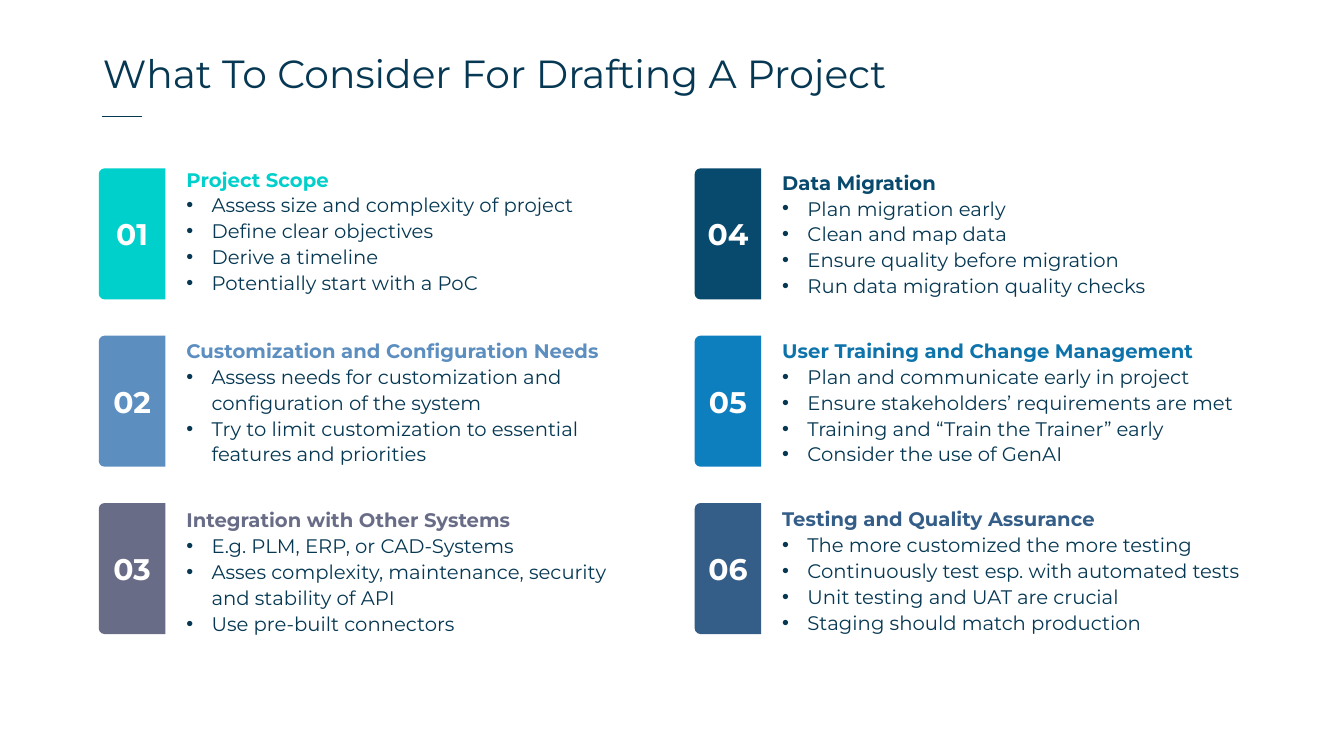
from lxml import etree
from pptx import Presentation
from pptx import util as u
from pptx.dml.color import RGBColor
from pptx.enum import shapes, text
from pptx.oxml.ns import qn

NAVY = RGBColor(0x06, 0x38, 0x53)
WHITE = RGBColor(0xFF, 0xFF, 0xFF)
TURQUOISE = RGBColor(0x00, 0xD0, 0xCB)
SKY = RGBColor(0x5C, 0x8E, 0xC0)
SLATE = RGBColor(0x68, 0x6C, 0x86)
PETROL = RGBColor(0x08, 0x4A, 0x6E)
BLUE = RGBColor(0x0E, 0x7F, 0xBE)
DEEP_BLUE = RGBColor(0x0D, 0x73, 0xAB)
STEEL = RGBColor(0x34, 0x5E, 0x88)

FONT = "Montserrat"
ROWS = 3
GRID_LEFT, GRID_TOP = 0.98, 1.67
COLUMN_STEP, ROW_STEP = 5.91, 1.66
TAB_WIDTH, TAB_HEIGHT = 0.66, 1.3
NUMBER_WIDTH, NUMBER_HEIGHT = 0.58, 0.35
BODY_OFFSET, BODY_HEIGHT = 0.77, 1.38

# Each topic: tab colour, heading colour, body width, body shift, heading, points
TOPICS = [
    (TURQUOISE, TURQUOISE, 4.54, -0.04, "Project Scope", [
        "Assess size and complexity of project",
        "Define clear objectives",
        "Derive a timeline",
        "Potentially start with a PoC"]),
    (SKY, SKY, 4.54, 0, "Customization and Configuration Needs", [
        "Assess needs for customization and configuration of the system",
        "Try to limit customization to essential features and priorities"]),
    (SLATE, SLATE, 4.54, 0.02, "Integration with Other Systems", [
        "E.g. PLM, ERP, or CAD-Systems",
        "Asses complexity, maintenance, security and stability of API",
        "Use pre-built connectors"]),
    (PETROL, PETROL, 4.54, -0.01, "Data Migration", [
        "Plan migration early",
        "Clean and map data",
        "Ensure quality before migration",
        "Run data migration quality checks"]),
    (BLUE, DEEP_BLUE, 4.69, 0, "User Training and Change Management", [
        "Plan and communicate early in project",
        "Ensure stakeholders’ requirements are met",
        "Training and “Train the Trainer” early",
        "Consider the use of GenAI"]),
    (STEEL, STEEL, 5.14, 0.01, "Testing and Quality Assurance", [
        "The more customized the more testing",
        "Continuously test esp. with automated tests",
        "Unit testing and UAT are crucial",
        "Staging should match production"]),
]


def inches(*lengths):
    """Convert lengths in inches to slide units."""
    return [u.Inches(length) for length in lengths]


def style(paragraph, size, color, bold=False):
    """Format every run of a paragraph."""
    for run in paragraph.runs:
        run.font.name = FONT
        run.font.size = u.Pt(size)
        run.font.bold = bold
        run.font.color.rgb = color


def add_bullet(paragraph):
    """Give a paragraph a hanging bullet."""
    properties = paragraph._p.get_or_add_pPr()
    properties.set("marL", str(u.Inches(0.25)))
    properties.set("indent", str(u.Inches(-0.25)))
    etree.SubElement(properties, qn("a:buFont")).set("typeface", "Arial")
    etree.SubElement(properties, qn("a:buChar")).set("char", "•")


def add_title(slide, left, top, width, height):
    """Fill the title placeholder and draw the short rule under it."""
    title = slide.shapes.title
    title.left, title.top, title.width, title.height = inches(left, top, width, height)
    frame = title.text_frame
    frame.text = "What To Consider For Drafting A Project"
    frame.vertical_anchor = text.MSO_ANCHOR.MIDDLE
    heading = frame.paragraphs[0]
    heading.alignment = text.PP_ALIGN.LEFT
    heading.line_spacing = 0.9
    style(heading, 28, NAVY)

    rule_left, rule_top = left + 0.09, top + 0.92
    rule = slide.shapes.add_connector(
        shapes.MSO_CONNECTOR.STRAIGHT,
        *inches(rule_left, rule_top, rule_left + 0.4, rule_top))
    rule.line.color.rgb = NAVY
    rule.line.width = u.Pt(0.25)
    etree.SubElement(rule._element.spPr, qn("a:effectLst"))


def add_tab(group, left, top, color, number):
    """Draw a coloured tab, rounded on its left, with its number."""
    center_x, center_y = left + TAB_WIDTH / 2, top + TAB_HEIGHT / 2
    tab = group.shapes.add_shape(
        shapes.MSO_SHAPE.ROUND_2_SAME_RECTANGLE,
        *inches(center_x - TAB_HEIGHT / 2, center_y - TAB_WIDTH / 2,
                TAB_HEIGHT, TAB_WIDTH))
    tab.rotation = 270
    tab.adjustments[0] = 0.087
    tab.adjustments[1] = 0
    tab.shadow.inherit = False
    tab.fill.solid()
    tab.fill.fore_color.rgb = color
    tab.line.fill.background()

    label = group.shapes.add_textbox(
        *inches(center_x - NUMBER_WIDTH / 2, center_y - NUMBER_HEIGHT / 2,
                NUMBER_WIDTH, NUMBER_HEIGHT))
    frame = label.text_frame
    frame.margin_left = frame.margin_right = frame.margin_top = frame.margin_bottom = 0
    frame.word_wrap = True
    frame.vertical_anchor = text.MSO_ANCHOR.MIDDLE
    frame.text = f"{number:02d}"
    frame.paragraphs[0].alignment = text.PP_ALIGN.CENTER
    style(frame.paragraphs[0], 21.3, WHITE, bold=True)


def add_body(group, left, top, width, color, heading, points):
    """Write a topic's heading and its bulleted points."""
    body = group.shapes.add_textbox(*inches(left, top, width, BODY_HEIGHT))
    frame = body.text_frame
    frame.word_wrap = True
    frame.vertical_anchor = text.MSO_ANCHOR.MIDDLE
    frame.text = "\n".join([heading, *points])
    for index, paragraph in enumerate(frame.paragraphs):
        paragraph.line_spacing = 1.1
        if index:
            add_bullet(paragraph)
            style(paragraph, 14, NAVY)
        else:
            style(paragraph, 14, color, bold=True)


def add_topic(slide, left, top, number, topic):
    """Group one topic's tab and body at the given grid cell."""
    tab_color, heading_color, width, shift, heading, points = topic
    group = slide.shapes.add_group_shape()
    add_tab(group, left, top, tab_color, number)
    body_top = top + (TAB_HEIGHT - BODY_HEIGHT) / 2 + shift
    add_body(group, left + BODY_OFFSET, body_top, width, heading_color, heading, points)


def main():
    """Build the slide and save it."""
    deck = Presentation()
    deck.slide_width, deck.slide_height = inches(13.33, 7.5)
    slide = deck.slides.add_slide(deck.slide_layouts[5])
    add_title(slide, 0.92, 0.23, 9.43, 1.04)
    for index, topic in enumerate(TOPICS):
        column, row = divmod(index, ROWS)
        add_topic(slide, GRID_LEFT + column * COLUMN_STEP,
                  GRID_TOP + row * ROW_STEP, index + 1, topic)
    deck.save("out.pptx")


if __name__ == "__main__":
    main()
